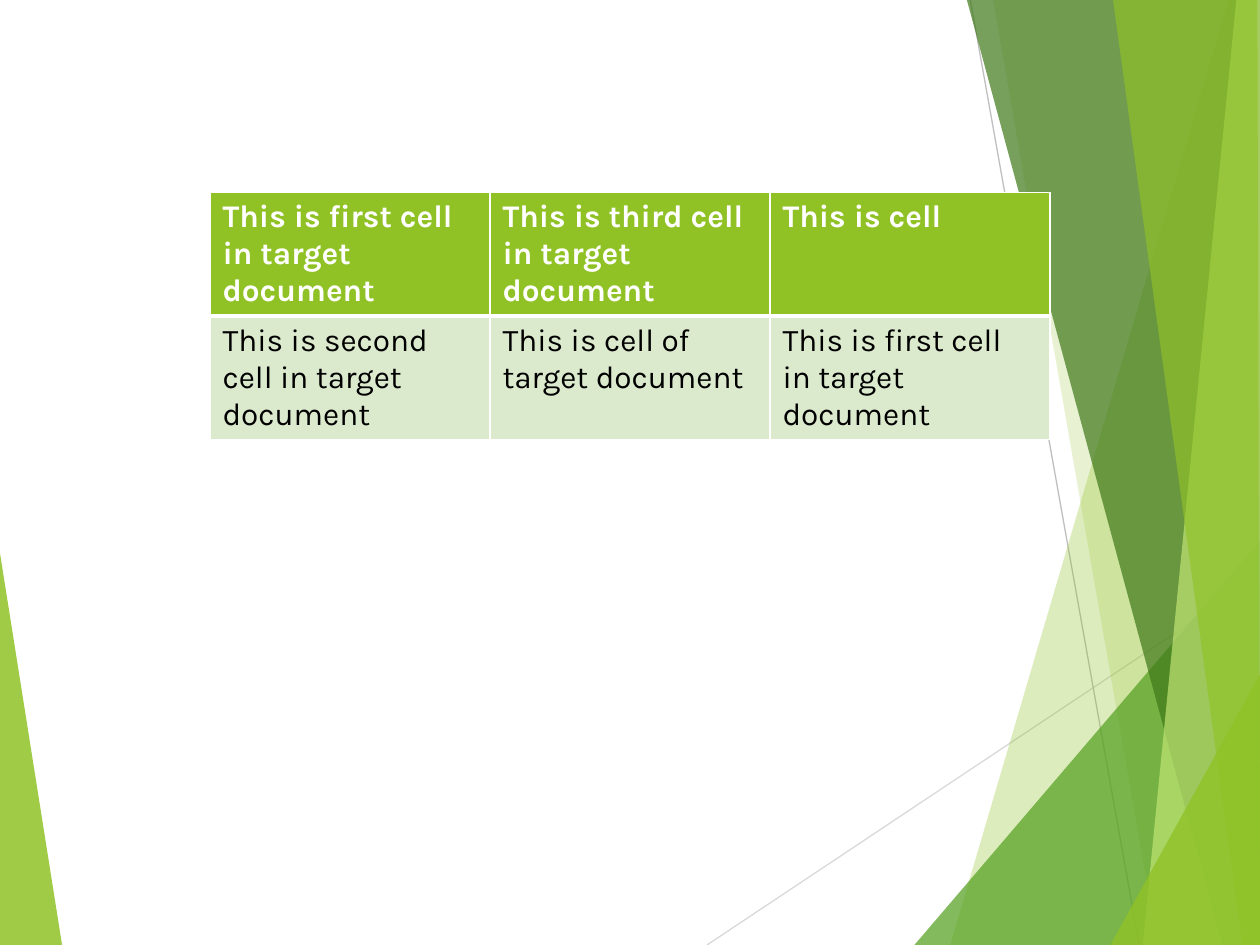
"""Build a slide with a two-row table in front of translucent green facets."""
import pptx
import pptx.dml.color
import pptx.enum.shapes
import pptx.oxml.ns
import pptx.util
from lxml import etree

Pt = pptx.util.Pt
RGBColor = pptx.dml.color.RGBColor
qn = pptx.oxml.ns.qn

WHITE = RGBColor(0xFF, 0xFF, 0xFF)
BLACK = RGBColor(0, 0, 0)
GREEN = RGBColor(0x90, 0xC2, 0x26)
MID_GREEN = RGBColor(0x54, 0xA0, 0x21)
DARK_GREEN = RGBColor(0x3F, 0x78, 0x19)
LIME = RGBColor(0xC0, 0xE4, 0x74)
PALE_GREEN = RGBColor(0xDB, 0xE9, 0xCD)
LIGHT_GRAY = RGBColor(0xD9, 0xD9, 0xD9)
GRAY = RGBColor(0xBF, 0xBF, 0xBF)

FONT = "Karla"
WIDTH, HEIGHT = 720, 540
TABLE_LEFT, TABLE_TOP = 120, 110
COLUMN_WIDTH, ROW_HEIGHT = 160, 70

LEFT_FACET = ([(0, 316), (35.5, HEIGHT), (0, HEIGHT)], GREEN, 85)
RIGHT_FACETS = [
    ([(702, 0), (543, HEIGHT), (WIDTH, HEIGHT), (WIDTH, 0)], GREEN, 30),
    ([(567.5, 0), (661.5, HEIGHT), (WIDTH, HEIGHT), (WIDTH, 0)], GREEN, 20),
    ([(522.5, HEIGHT), (WIDTH, 309), (WIDTH, HEIGHT)], MID_GREEN, 72),
    ([(552.5, 0), (698.5, HEIGHT), (WIDTH, HEIGHT), (WIDTH, 0)], DARK_GREEN, 70),
    ([(706.5, 0), (653, HEIGHT), (WIDTH, HEIGHT), (WIDTH, 0)], LIME, 70),
    ([(636, 0), (710, HEIGHT), (WIDTH, HEIGHT), (718.5, 0)], GREEN, 65),
    ([(634.5, HEIGHT), (WIDTH, 385.5), (WIDTH, HEIGHT)], GREEN, 80),
]
THIN_LINES = [
    ((404, HEIGHT), (WIDTH, 329.5), LIGHT_GRAY),
    ((554.5, 0), (651, HEIGHT), GRAY),
]
HEADER = [
    "This is first cell in target document",
    "This is third cell in target document",
    "This is cell",
]
BODY = [
    "This is second cell in target document",
    "This is cell of target document",
    "This is first cell in target document",
]


def add_facet(slide, points, color, opacity):
    """Draw a closed polygon with a translucent fill and no outline."""
    corners = [(Pt(x), Pt(y)) for x, y in points]
    builder = slide.shapes.build_freeform(*corners[0])
    builder.add_line_segments(corners[1:], close=True)
    shape = builder.convert_to_shape()
    shape.shadow.inherit = False
    shape.fill.solid()
    shape.fill.fore_color.rgb = color
    shape.line.fill.background()
    color_element = shape.fill._xPr.find(".//" + qn("a:srgbClr"))
    etree.SubElement(color_element, qn("a:alpha"), val=str(opacity * 1000))


def add_thin_line(slide, start, end, color):
    """Draw a straight hairline without a shadow."""
    connector = slide.shapes.add_connector(
        pptx.enum.shapes.MSO_CONNECTOR.STRAIGHT, *map(Pt, start + end)
    )
    connector.line.color.rgb = color
    connector.line.width = Pt(0.75)
    etree.SubElement(connector._element.spPr, qn("a:effectLst"))


def write_text(text_frame, text, *, color, bold=False, size=18):
    """Write one formatted run into a text frame."""
    run = text_frame.paragraphs[0].add_run()
    run.text = text
    run.font.name = FONT
    run.font.size = Pt(size)
    run.font.bold = bold
    run.font.color.rgb = color


def set_borders(cell, color, left=1, right=1, top=1, bottom=1):
    """Give a cell solid borders of the given widths."""
    properties = cell._tc.get_or_add_tcPr()
    for side, width in zip("LRTB", (left, right, top, bottom)):
        line = etree.SubElement(properties, qn(f"a:ln{side}"), w=str(Pt(width)))
        fill = etree.SubElement(line, qn("a:solidFill"))
        etree.SubElement(fill, qn("a:srgbClr"), val=str(color))


def fill_row(table, row, texts, fill, text_color, bold, **borders):
    """Write and style all cells of one table row."""
    table.rows[row].height = Pt(ROW_HEIGHT)
    for column, text in enumerate(texts):
        cell = table.cell(row, column)
        set_borders(cell, WHITE, **borders)
        cell.fill.solid()
        cell.fill.fore_color.rgb = fill
        write_text(cell.text_frame, text, color=text_color, bold=bold)


def add_cell_table(slide):
    """Add the table with its header row and body row."""
    frame = slide.shapes.add_table(
        2, len(HEADER), Pt(TABLE_LEFT), Pt(TABLE_TOP),
        Pt(COLUMN_WIDTH * len(HEADER)), Pt(ROW_HEIGHT * 2),
    )
    table = frame.table
    table.horz_banding = False
    fill_row(table, 0, HEADER, GREEN, WHITE, True, bottom=3)
    fill_row(table, 1, BODY, PALE_GREEN, BLACK, False, top=3)


def main():
    """Build and save the presentation."""
    presentation = pptx.Presentation()
    presentation.slide_width = Pt(WIDTH)
    presentation.slide_height = Pt(HEIGHT)
    slide = presentation.slides.add_slide(presentation.slide_layouts[6])
    add_facet(slide, *LEFT_FACET)
    for line in THIN_LINES:
        add_thin_line(slide, *line)
    for facet in RIGHT_FACETS:
        add_facet(slide, *facet)
    add_cell_table(slide)
    presentation.save("out.pptx")


if __name__ == "__main__":
    main()
